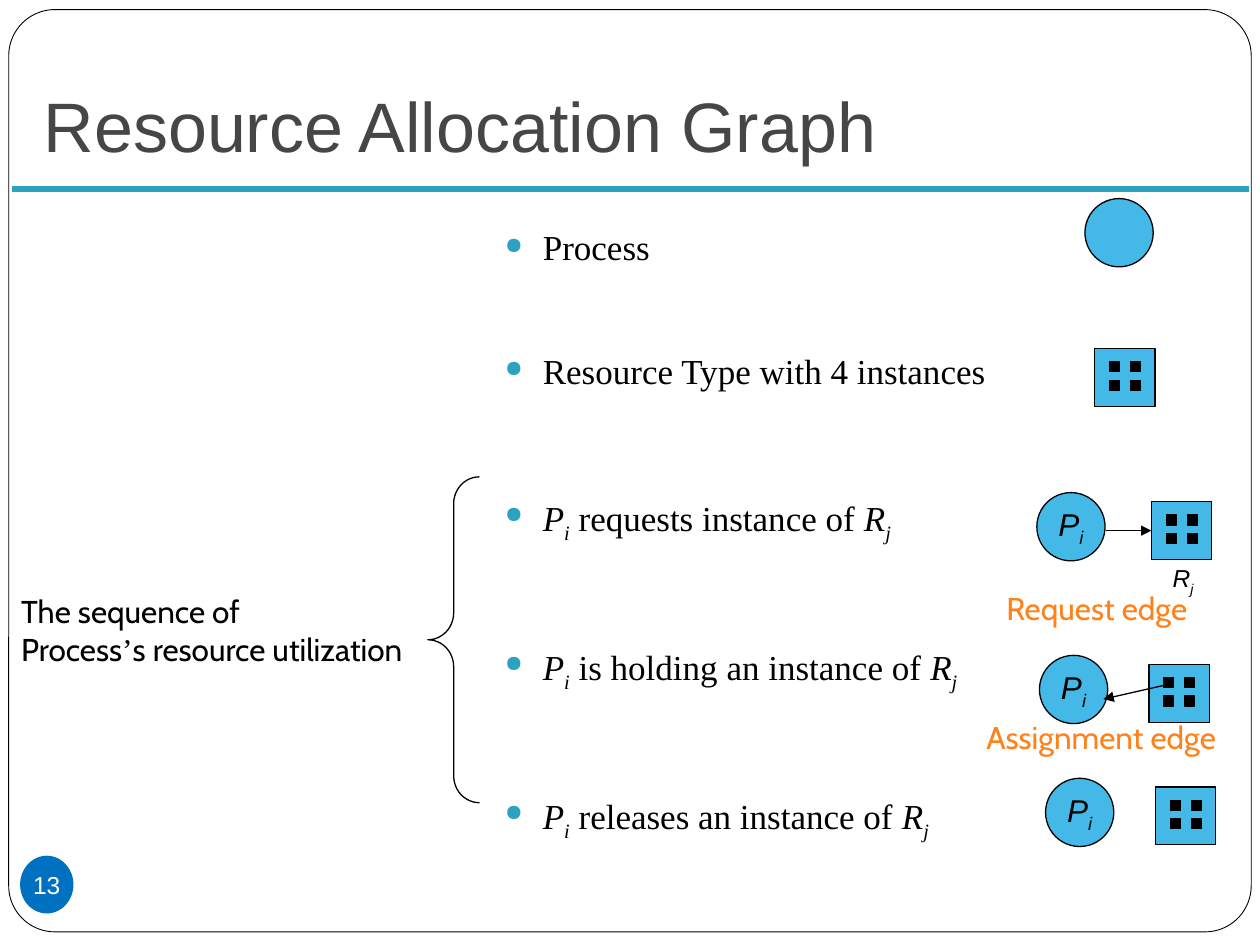
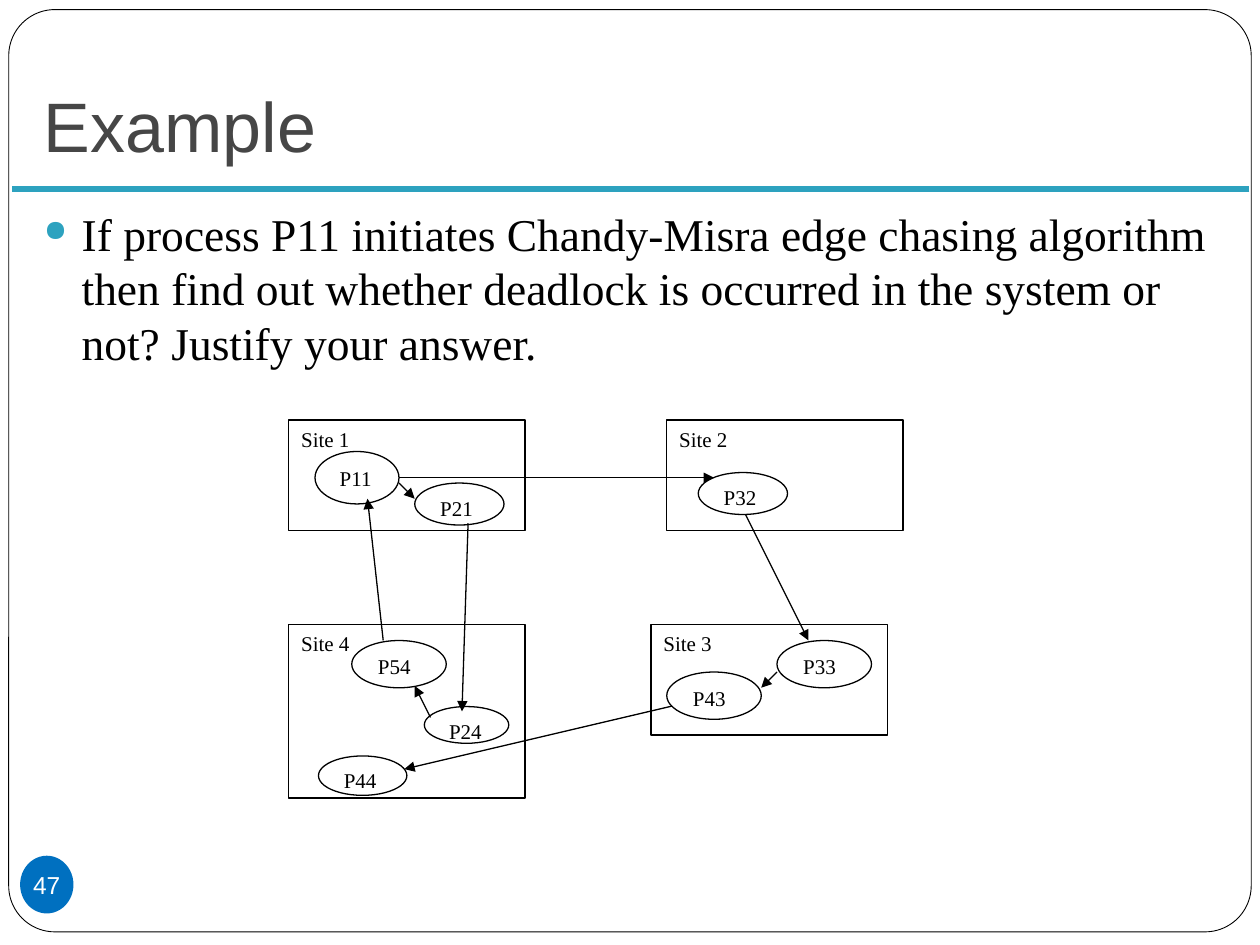
from lxml import etree
from pptx import Presentation
from pptx.dml.color import RGBColor
from pptx.enum import shapes, text as t
from pptx.oxml import ns
from pptx.util import Pt

BLACK, WHITE, TEAL, SKY, ORANGE = "000000", "FFFFFF", "2DA2BF", "44B9E8", "FF8119"
RECT, OVAL = shapes.MSO_SHAPE.RECTANGLE, shapes.MSO_SHAPE.OVAL
CENTER = t.PP_ALIGN.CENTER
TOP, MIDDLE, BOTTOM = t.MSO_ANCHOR.TOP, t.MSO_ANCHOR.MIDDLE, t.MSO_ANCHOR.BOTTOM


def rgb(code):
    return RGBColor.from_string(code)


def write(page, words, at, kind=None, fill=None, line=None, width=0.75, size=12,
          font="Times New Roman", color=BLACK, align=None, anchor=TOP, wrap=True,
          insets=(7.2, 3.6, 7.2, 3.6), bullet=False, spacing=None, gaps=()):
    frame = [Pt(value) for value in at]
    if kind is None:
        box = page.shapes.add_textbox(*frame)
    else:
        box = page.shapes.add_shape(kind, *frame)
        box.shadow.inherit = False
    if fill:
        box.fill.solid()
        box.fill.fore_color.rgb = rgb(fill)
    else:
        box.fill.background()
    if line:
        box.line.color.rgb = rgb(line)
        box.line.width = Pt(width)
    else:
        box.line.fill.background()
    if not words:
        return box
    body = box.text_frame
    body.word_wrap = wrap
    body.vertical_anchor = anchor
    if kind is None and not wrap:
        body.auto_size = t.MSO_AUTO_SIZE.SHAPE_TO_FIT_TEXT
    body.margin_left, body.margin_top, body.margin_right, body.margin_bottom = map(Pt, insets)
    for row, content in enumerate(words.split("\n")):
        para = body.add_paragraph() if row else body.paragraphs[0]
        para.alignment = align or t.PP_ALIGN.LEFT
        if bullet:
            props = para._p.get_or_add_pPr()
            props.set("marL", str(Pt(21.6)))
            props.set("indent", str(-Pt(21.6)))
            tint = etree.SubElement(props, ns.qn("a:buClr"))
            etree.SubElement(tint, ns.qn("a:srgbClr"), val=TEAL)
            etree.SubElement(props, ns.qn("a:buSzPct"), val="65000")
            etree.SubElement(props, ns.qn("a:buChar"), char="●")
        if spacing:
            para.line_spacing = spacing
        if row and gaps:
            para.space_before = Pt(gaps[row - 1])
        for index, part in enumerate(content.split("*")):
            symbol = index % 2 == 1 and part != "’"
            for place, piece in enumerate([part[0], part[1:]] if symbol else [part]):
                if not piece:
                    continue
                span = para.add_run()
                span.text = piece
                span.font.size = Pt(size)
                span.font.name = "Times New Roman" if part == "’" else font
                span.font.color.rgb = rgb(color)
                span.font.italic = symbol
                if place:
                    span._r.get_or_add_rPr().set("baseline", "-25000")
    return box


deck = Presentation()
deck.slide_width, deck.slide_height = Pt(720), Pt(540)
lines = []
pages = []
for title, number in [("Resource Allocation Graph", "13"), ("Example", "47")]:
    page = deck.slides.add_slide(deck.slide_layouts[6])
    pages.append(page)
    border = write(page, "", (5, 5.5, 710, 527), shapes.MSO_SHAPE.ROUNDED_RECTANGLE,
                   fill=WHITE, line=BLACK, width=0.5)
    border.adjustments[0] = 0.05
    write(page, title, (18, 21.6, 684, 80.6), size=40, font="Arial", color="464646",
          anchor=BOTTOM, insets=(7.2, 3.6, 7.2, 7.2))
    write(page, number, (11.5, 489, 30.5, 33), OVAL, fill="0070C0", size=14, font="Arial",
          color=WHITE, align=CENTER, anchor=MIDDLE, wrap=False, insets=(0, 0, 0, 0))
    lines.append((page, (714, 108), (7, 108), TEAL, 3, None))
graph, example = pages

steps = ["Process", "Resource Type with 4 instances", "*Pi* requests instance of *Rj*",
         "*Pi* is holding an instance of *Rj*", "*Pi* releases an instance of *Rj*"]
write(graph, "\n".join(steps), (281.5, 128, 382.5, 358), size=20, bullet=True, spacing=0.9,
      gaps=(49, 60.5, 60.5, 60.5))

for x, y, name in [(620, 113.5, ""), (592.5, 281.5, "*Pi*"), (594, 374.5, "*Pi*"),
                   (597.5, 444.75, "*Pi*")]:
    write(graph, name, (x, y, 39, 39), OVAL, fill=SKY, line=BLACK, size=18, font="Arial",
          align=CENTER, anchor=MIDDLE, wrap=False)

resources = []
for x, y in [(625.5, 199.25), (658, 286.75), (656.5, 379.75), (660.25, 449.75)]:
    resources.append(write(graph, "", (x, y, 34.5, 33), RECT, fill=SKY, line=BLACK))
    for dx in (8.5, 20.5):
        for dy in (7.5, 18):
            write(graph, "", (x + dx, y + dy, 5.75, 5.75), RECT, fill=BLACK, line=BLACK)

write(graph, "*Rj*", (656, 318.25, 40, 26.5), size=14, font="Arial", align=CENTER,
      anchor=MIDDLE, wrap=False)
brace = write(graph, "", (244.5, 272.5, 29.5, 186.25), shapes.MSO_SHAPE.LEFT_BRACE, line=BLACK)
brace.adjustments[0] = 0.52
for words, at, color in [
        ("The sequence of\nProcess*’*s resource utilization", (5, 335, 261.5, 50.5), BLACK),
        ("Request edge", (568, 332.75, 130.5, 29), ORANGE),
        ("Assignment edge", (556.5, 407, 161.5, 29), ORANGE)]:
    write(graph, words, at, size=18, font="Cabin", color=color, wrap=False)

lines.append((graph, (632, 303.25), (658, 303.25), BLACK, 0.75, resources[1]))
lines.append((graph, (668, 391), (630.5, 399.5), BLACK, 0.75, None))

write(example, "If process P11 initiates Chandy-Misra edge chasing algorithm then find out "
      "whether deadlock is occurred in the system or not? Justify your answer.",
      (18, 114, 684, 360), size=26, bullet=True)

sites = [("Site 1", 165, 240, 63), ("Site 2", 381, 240, 63),
         ("Site 4", 165, 357, 99), ("Site 3", 372, 357, 63)]
for name, x, y, height in sites:
    write(example, name, (x, y, 135, height), RECT, fill=WHITE, line=BLACK)

processes = [("P11", 180, 258, 48, 30), ("P21", 237, 276, 51, 24), ("P32", 399, 270, 51, 24),
             ("P24", 242.5, 403.75, 48.25, 21), ("P54", 201, 366, 54, 27),
             ("P33", 444, 366, 54, 27), ("P43", 381, 384, 54, 27), ("P44", 182, 432, 50.5, 22.5)]
for name, *at in processes:
    write(example, name, at, OVAL, fill=WHITE, line=BLACK)

waits = [((228, 273), (408, 273)), ((228, 276), (237, 285)), ((219, 366), (210, 285)),
         ((267.5, 299), (264, 406.5)), ((246, 410), (237, 392)), ((384, 403.5), (231, 439.5)),
         ((444, 384), (435, 393)), ((426, 294), (462, 366))]
for start, end in waits:
    lines.append((example, start, end, BLACK, 0.75, None))

for page, start, end, color, width, target in lines:
    link = page.shapes.add_connector(shapes.MSO_CONNECTOR.STRAIGHT, *map(Pt, start + end))
    link.line.color.rgb = rgb(color)
    link.line.width = Pt(width)
    if target is not None:
        link.end_connect(target, 1)
    if color == BLACK:
        etree.SubElement(link.line._get_or_add_ln(), ns.qn("a:tailEnd"), type="triangle")
    etree.SubElement(link._element.spPr, ns.qn("a:effectLst"))

deck.save("out.pptx")
